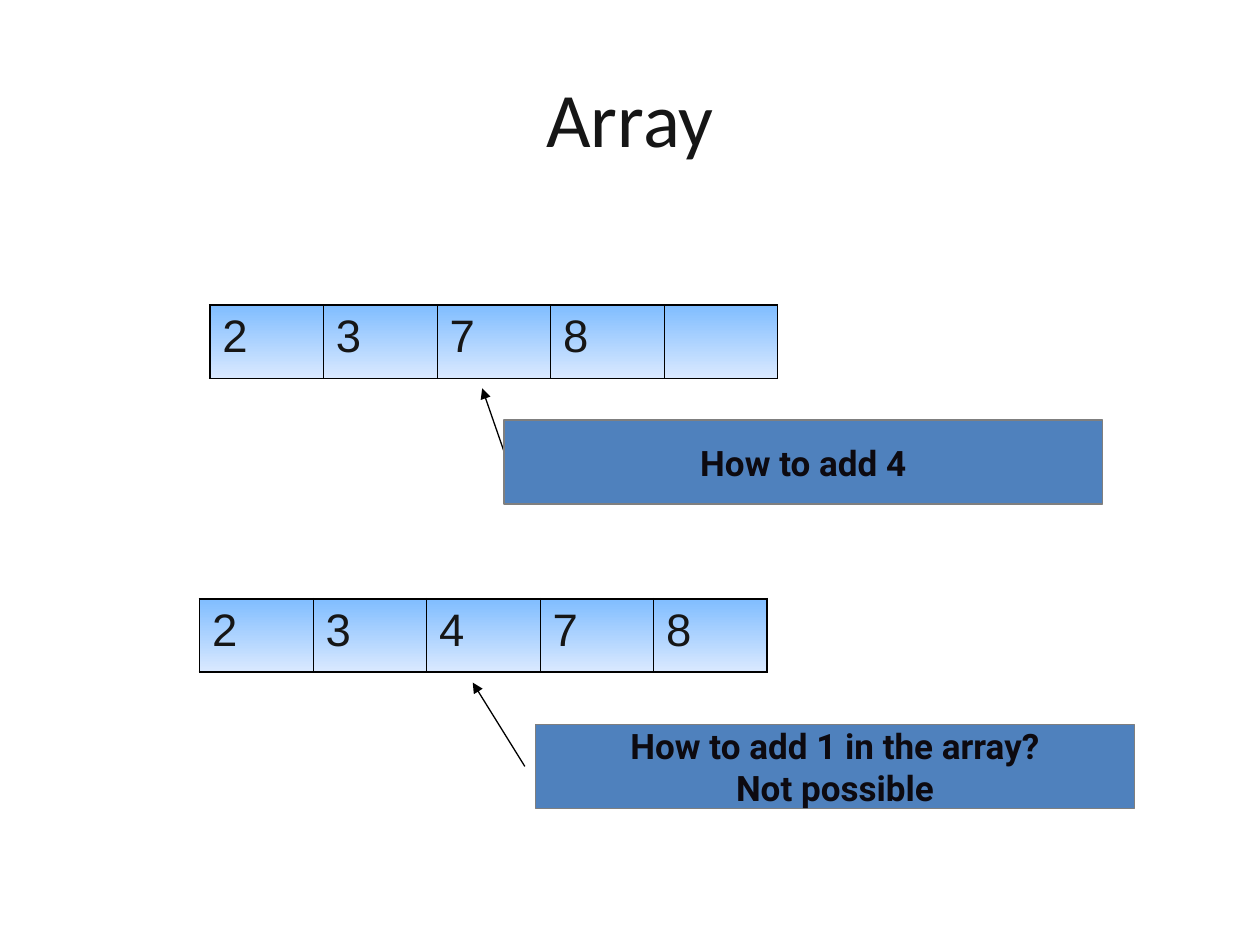
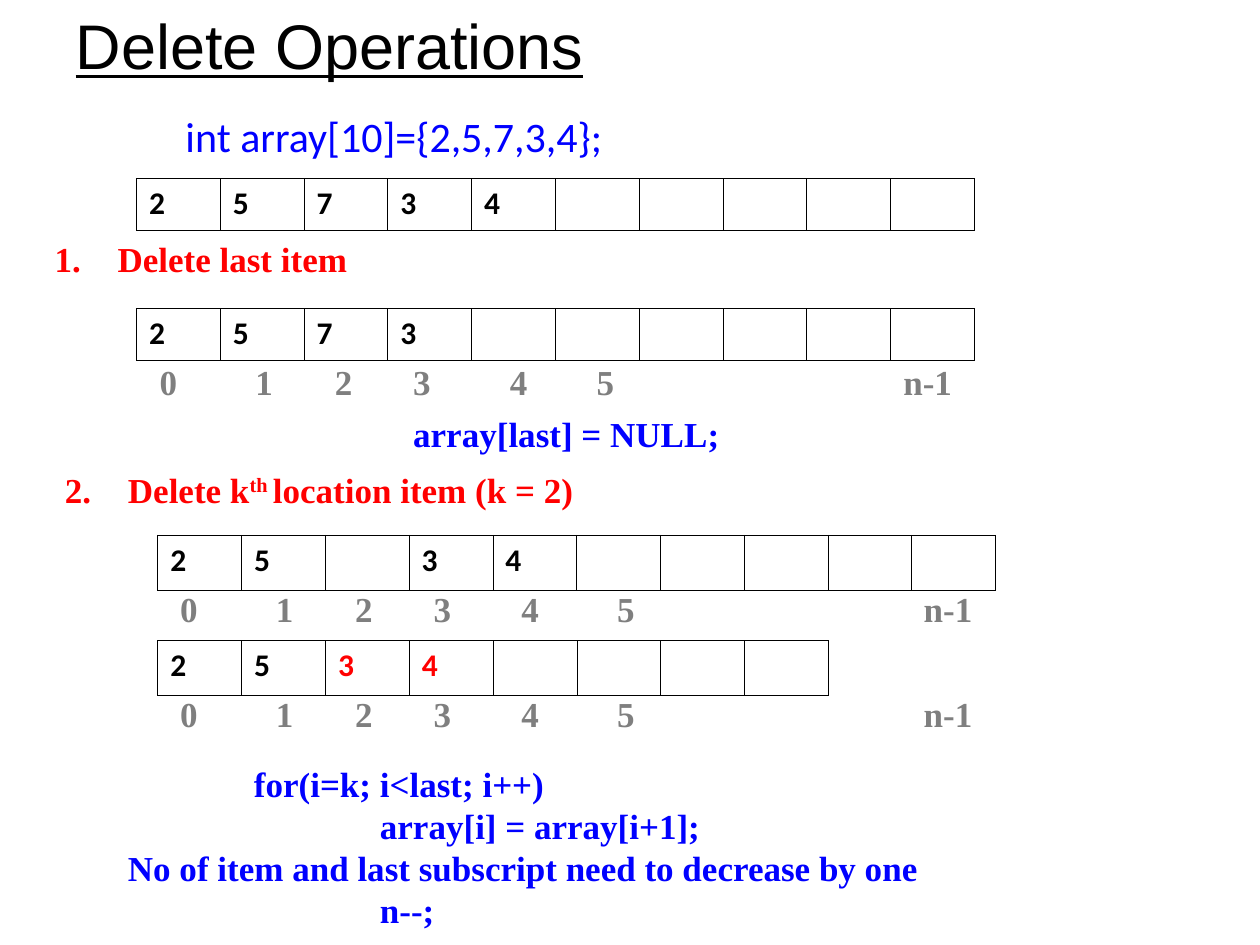
from lxml.etree import SubElement
from pptx import Presentation
from pptx.dml.color import RGBColor
from pptx.enum.shapes import MSO_CONNECTOR, MSO_SHAPE
from pptx.enum.text import MSO_ANCHOR, PP_ALIGN
from pptx.oxml.ns import qn
from pptx.util import Cm, Pt

INK, BLACK, WHITE = "161616", "000000", "FFFFFF"
RED, BLUE, GRAY = "FF0000", "0000FF", "7F7F7F"
SERIF = "Times New Roman"
color = RGBColor.from_string


def style(paragraph, name, size, ink, bold=False):
    for span in paragraph.runs:
        font = span.font
        font.name, font.size, font.bold = name, Pt(size), bold
        font.color.rgb = color(ink)


def add_array(slide, left, top, values, cell_width, height, outer_line):
    """Add a one-row table with thin inner lines and no banding."""
    count = len(values)
    table = slide.shapes.add_table(
        1, count, Cm(left), Cm(top), Cm(cell_width * count), Cm(height)).table
    table.first_row = table.horz_banding = False
    for index, value in enumerate(values):
        cell = table.cell(0, index)
        cell.text = value
        edges = {"lnL": index == 0, "lnR": index == count - 1, "lnT": True, "lnB": True}
        properties = cell._tc.get_or_add_tcPr()
        for edge, is_outer in edges.items():
            width = Pt(outer_line if is_outer else 0.45)
            line = SubElement(properties, qn("a:" + edge), w=str(width))
            SubElement(SubElement(line, qn("a:solidFill")), qn("a:srgbClr"), val=BLACK)
    return table


deck = Presentation()
deck.slide_width, deck.slide_height = Cm(25.4), Cm(19.05)
title_only = deck.slide_layouts[5]

# Titles
slides = []
for text, top, height, name, size, ink, align, underline in [
    ("Array", 0.76, 3.18, "Calibri", 44, INK, PP_ALIGN.CENTER, False),
    ("Delete Operations", -0.2, 2.2, "Arial", 36, BLACK, PP_ALIGN.LEFT, True),
]:
    slide = deck.slides.add_slide(title_only)
    title = slide.shapes.title
    title.left, title.top, title.width, title.height = Cm(1.27), Cm(top), Cm(22.86), Cm(height)
    title.text_frame.text = text
    title.text_frame.vertical_anchor = MSO_ANCHOR.MIDDLE
    para = title.text_frame.paragraphs[0]
    para.alignment = align
    style(para, name, size, ink)
    para.runs[0].font.underline = underline
    slides.append(slide)
insert_slide, delete_slide = slides

# Inserting: array, arrow and callout
for values, array_at, arrow_from, arrow_to, callout_at, question in [
    (["2", "3", "7", "8", ""], (4.23, 6.15), (10.16, 9.1), (9.72, 7.83),
     (10.16, 8.47), "How to add 4"),
    (["2", "3", "4", "7", "8"], (4.02, 12.07), (10.58, 15.45), (9.53, 13.76),
     (10.8, 14.61), "How to add 1 in the array?\nNot possible"),
]:
    table = add_array(insert_slide, *array_at, values, 2.29, 1.48, 1.08)
    for cell in table.iter_cells():
        cell.fill.gradient()
        cell.fill.gradient_angle = 270
        for stop, shade in zip(cell.fill.gradient_stops, ["80BDFF", "DAE9FF"]):
            stop.color.rgb = color(shade)
        para = cell.text_frame.paragraphs[0]
        para.space_before = Pt(6.5)
        style(para, "Arial", 26, INK)

    arrow = insert_slide.shapes.add_connector(
        MSO_CONNECTOR.STRAIGHT, *map(Cm, arrow_from + arrow_to))
    arrow.line.color.rgb = color(BLACK)
    arrow.line.width = Pt(0.75)
    SubElement(arrow.line._get_or_add_ln(), qn("a:tailEnd"), type="triangle")
    SubElement(arrow._element.spPr, qn("a:effectLst"))

    callout = insert_slide.shapes.add_shape(
        MSO_SHAPE.RECTANGLE, *map(Cm, callout_at), Cm(12.07), Cm(1.69))
    callout.shadow.inherit = False
    callout.fill.solid()
    callout.fill.fore_color.rgb = color("4F81BD")
    callout.line.color.rgb = color(GRAY)
    callout.line.width = Pt(0.75)
    callout.text_frame.text = question
    callout.text_frame.vertical_anchor = MSO_ANCHOR.MIDDLE
    for para in callout.text_frame.paragraphs:
        para.alignment = PP_ALIGN.CENTER
        style(para, "Roboto", 20, "0D0A10", bold=True)

# Deleting: arrays, with moved items in red
for left, top, height, items, count, moved in [
    (2.75, 3.6, 1.05, "25734", 10, ""),
    (2.75, 6.22, 1.05, "2573", 10, ""),
    (3.18, 10.79, 1.11, "25 34", 10, ""),
    (3.18, 12.91, 1.11, "2534", 8, "34"),
]:
    values = [item.strip() for item in items.ljust(count)]
    table = add_array(delete_slide, left, top, values, 1.69, height, 0.45)
    for cell in table.iter_cells():
        cell.fill.solid()
        cell.fill.fore_color.rgb = color(WHITE)
        ink = RED if cell.text and cell.text in moved else BLACK
        style(cell.text_frame.paragraphs[0], "Calibri", 18, ink, bold=True)

# Subscripts below the arrays, spread by tab stops
subscripts = "\t".join(["0", "1", "2", "3", "4", "5", "n-1"])
# Code lines are (text, left indent)
code = [("for(i=k; i<last; i++)", 2.54), ("array[i] = array[i+1];", 5.08),
        ("No of item and last subscript need to decrease by one", 0), ("n--;", 5.08)]
for left, top, width, height, lines, name, size, ink, fourth_stop in [
    (1.27, 2.11, 22.86, 13.64, [("int array[10]={2,5,7,3,4};", 2.22)],
     "Calibri", 24, BLUE, None),
    (2.97, 7.14, 16.71, 1.11, [(subscripts, 0)], SERIF, 20, GRAY, 7.06),
    (3.38, 11.71, 16.71, 1.11, [(subscripts, 0)], SERIF, 20, GRAY, 6.88),
    (3.38, 13.84, 16.71, 1.11, [(subscripts, 0)], SERIF, 20, GRAY, 6.88),
    (8.08, 8.2, 6.86, 1.11, [("array[last] = NULL;", 0)], SERIF, 20, BLUE, None),
    (2.33, 15.24, 20.11, 4.5, code, SERIF, 20, BLUE, None),
]:
    box = delete_slide.shapes.add_textbox(Cm(left), Cm(top), Cm(width), Cm(height))
    frame = box.text_frame
    frame.word_wrap = True
    frame.text = "\n".join(text for text, indent in lines)
    for para, (text, indent) in zip(frame.paragraphs, lines):
        style(para, name, size, ink, bold=name == SERIF)
        properties = para._p.get_or_add_pPr()
        properties.set("marL", str(Cm(indent)))
        if fourth_stop:
            stops = SubElement(properties, qn("a:tabLst"))
            for position in [1.93, 3.53, 5.11, fourth_stop, 8.81, 14.99]:
                SubElement(stops, qn("a:tab"), pos=str(Cm(position)), algn="l")
    if size == 24:
        frame.paragraphs[0].space_before = Pt(6)

# Numbered steps
for number, (left, top, parts) in enumerate([
    (0.85, 4.66, ["Delete last item"]),
    (1.06, 9.32, ["Delete k", "th ", "location item (k = 2)"]),
], start=1):
    box = delete_slide.shapes.add_textbox(Cm(left), Cm(top), Cm(20.96), Cm(1.11))
    box.text_frame.word_wrap = True
    para = box.text_frame.paragraphs[0]
    for part in parts:
        span = para.add_run()
        span.text = part
        if part == "th ":
            span._r.get_or_add_rPr().set("baseline", "30000")
    style(para, SERIF, 20, RED, bold=True)
    properties = para._p.get_or_add_pPr()
    properties.set("marL", str(Cm(1.27)))
    properties.set("indent", str(Cm(-1.27)))
    SubElement(SubElement(properties, qn("a:buClr")), qn("a:srgbClr"), val=RED)
    SubElement(properties, qn("a:buAutoNum"), type="arabicPeriod", startAt=str(number))

deck.save("out.pptx")
